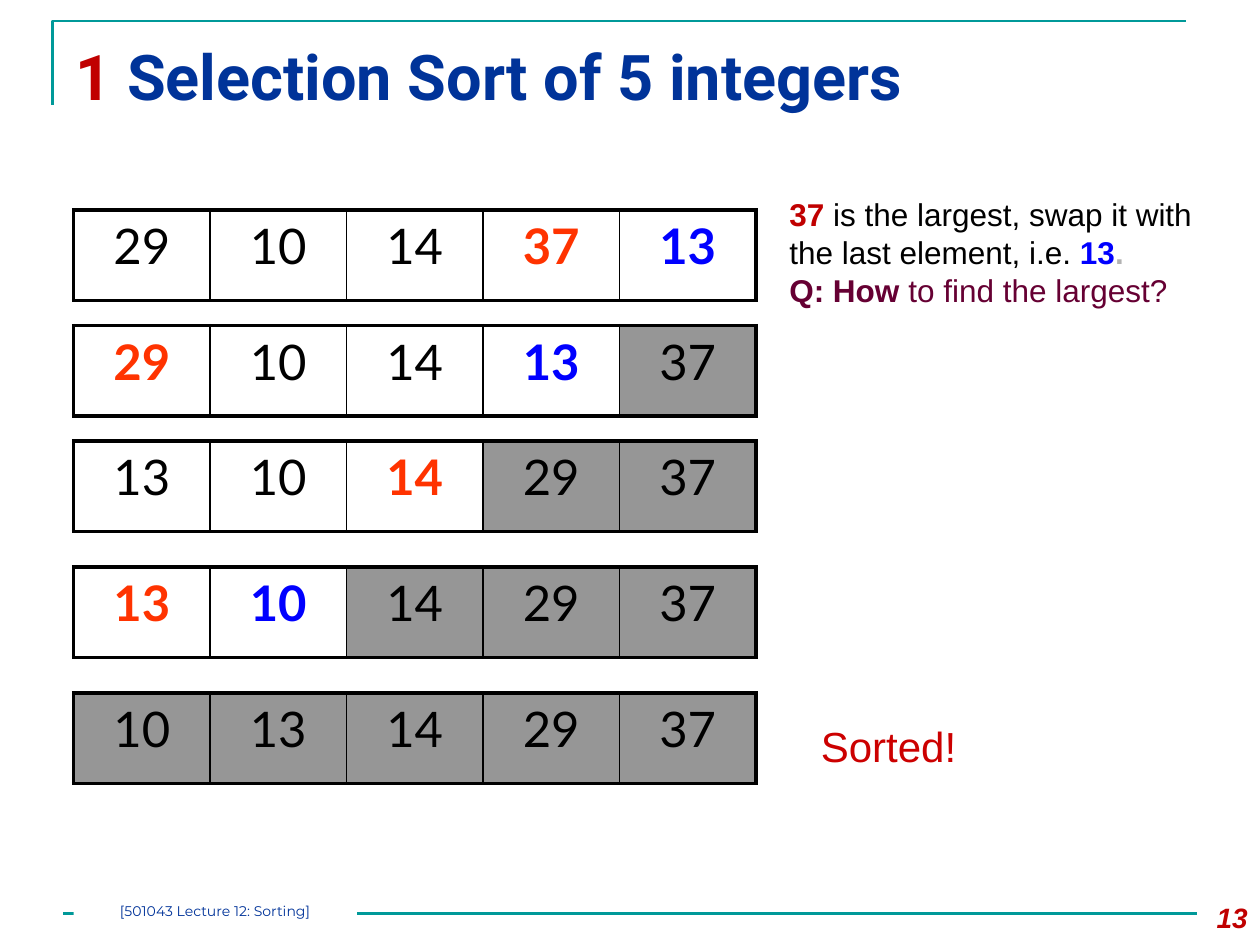
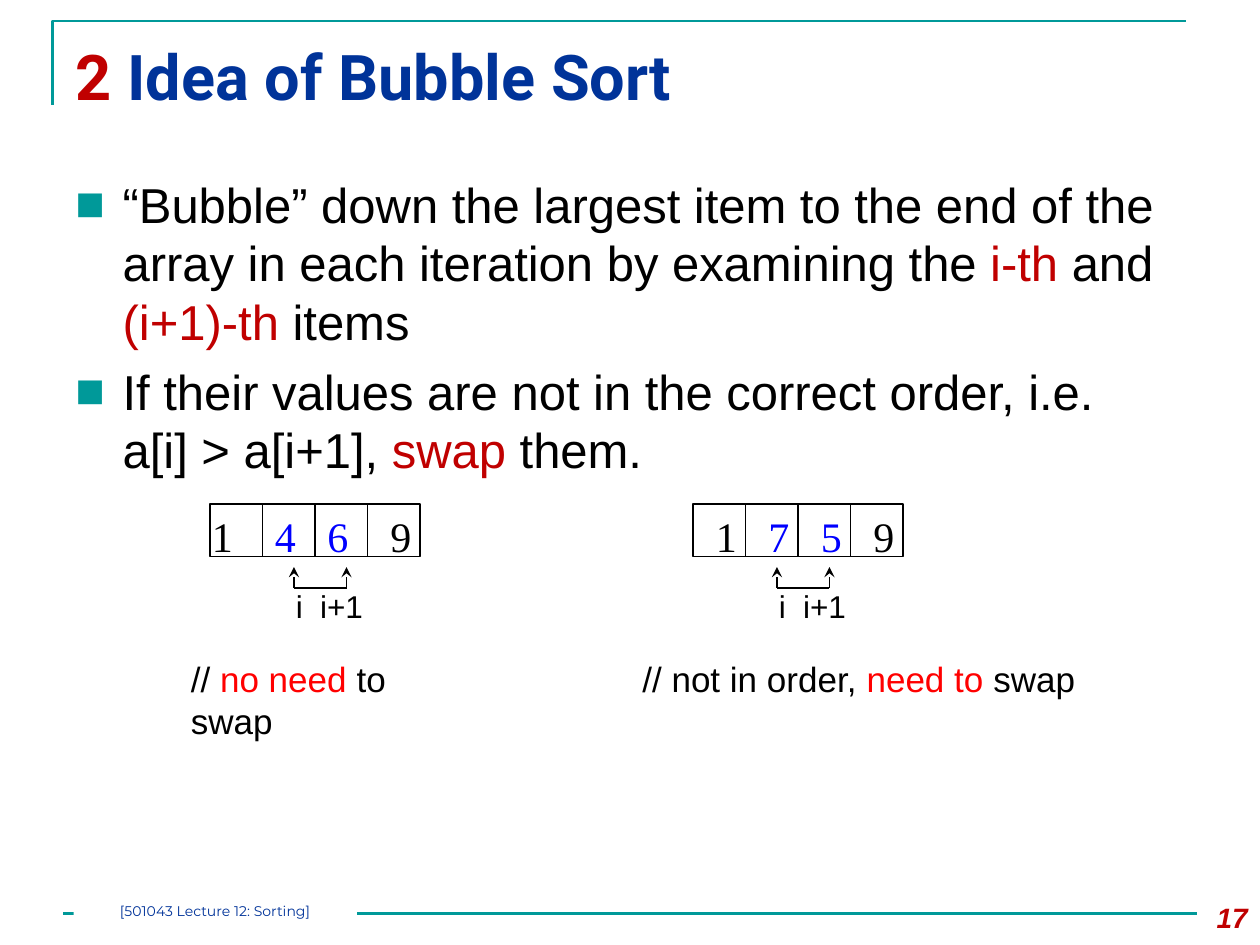
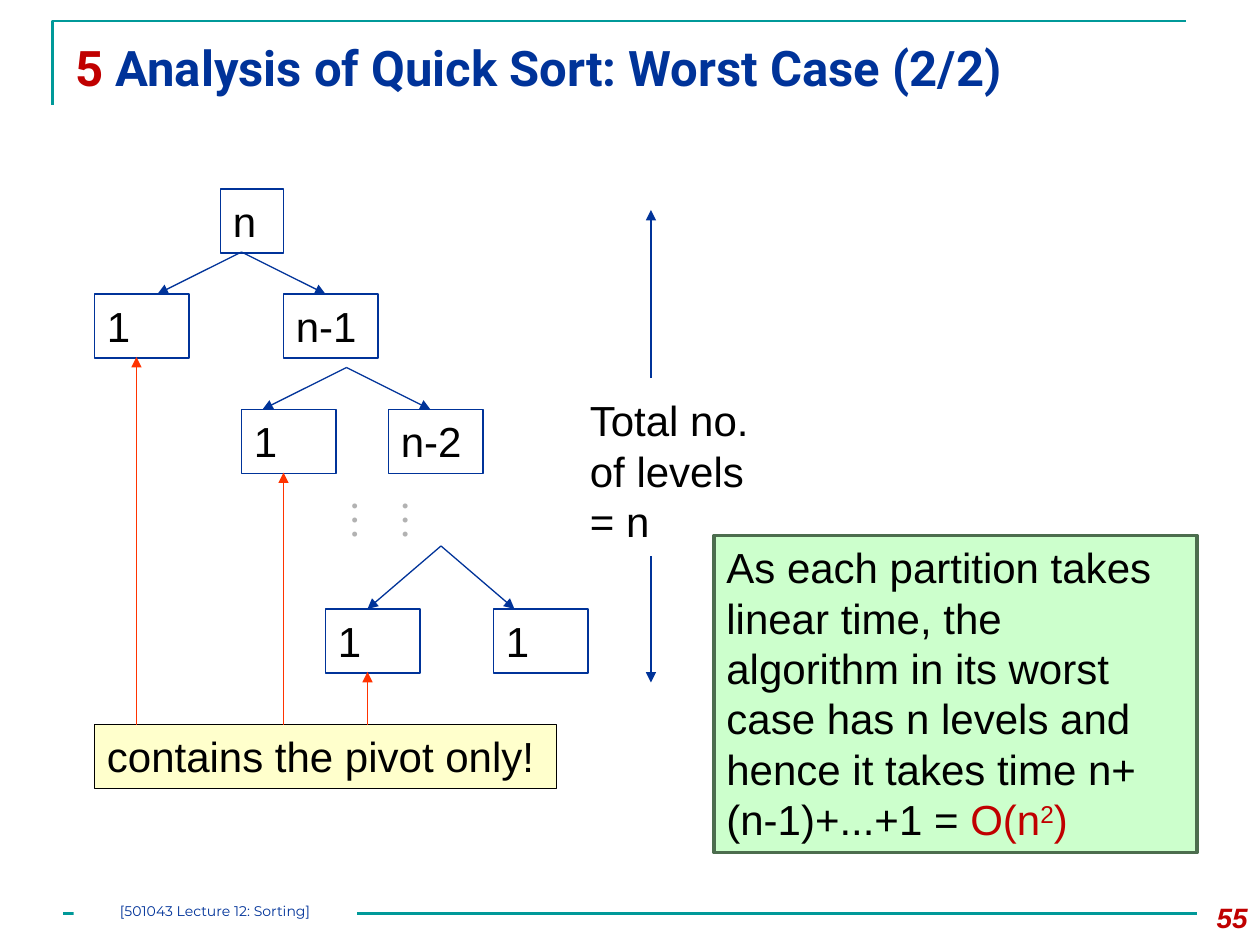
import pptx
import pptx.dml.color
import pptx.enum.shapes
import pptx.enum.text
import pptx.oxml
import pptx.oxml.ns
import pptx.util
from lxml import etree

SCALE = 7620  # EMU in one px, 120 px to the inch
COLORS = {
    "teal": "009999", "navy": "003399", "red": "C00000", "black": "000000",
    "white": "FFFFFF", "largest": "FF3300", "swapped": "0000FF", "sorted": "969696",
    "dot": "B2B2B2", "question": "660033", "done": "CC0000", "alert": "FF0000",
    "mint": "CCFFCC", "mint edge": "4C6D4E", "cream": "FFFFCC",
}
ALIGN = pptx.enum.text.PP_ALIGN
RECTANGLE = pptx.enum.shapes.MSO_SHAPE.RECTANGLE
STRAIGHT = pptx.enum.shapes.MSO_CONNECTOR.STRAIGHT
LINE_HEIGHT = 1.2
ROOMY_FONTS = ("Arial", "Times New Roman")


def px(length):
    return pptx.util.Emu(length * SCALE)


def rgb(name):
    return pptx.dml.color.RGBColor.from_string(COLORS[name])


def add_xml(parent, tag, **attributes):
    element = etree.SubElement(parent, pptx.oxml.ns.qn(tag))
    for key, value in attributes.items():
        element.set(key, str(value))
    return element


def styled(text, color="black", **font):
    """One run: its text, colour and font attributes."""
    return text, color, font


def write(frame, paragraphs, size, font="Arial", align=ALIGN.LEFT, inset=(12, 6),
          space=0, bullet=None, tabs=()):
    """Fill a text frame or table cell; each paragraph is a list of styled runs."""
    across, down = inset
    for side, margin in {"left": across, "right": across, "top": down, "bottom": down}.items():
        setattr(frame, f"margin_{side}", px(margin))
    frame.vertical_anchor = pptx.enum.text.MSO_ANCHOR.TOP
    frame.word_wrap = True
    for index, runs in enumerate(paragraphs):
        paragraph = frame.paragraphs[0] if index == 0 else frame.add_paragraph()
        properties = paragraph._p.get_or_add_pPr()
        if bullet:
            properties.set("marL", str(px(45)))
            properties.set("indent", str(px(-45)))
            add_xml(add_xml(properties, "a:buClr"), "a:srgbClr", val=COLORS["teal"])
            add_xml(properties, "a:buFont", typeface=font)
            add_xml(properties, "a:buChar", char=bullet)
        if tabs:
            stops = add_xml(properties, "a:tabLst")
            for position in tabs:
                add_xml(stops, "a:tab", pos=px(position), algn="l")
        paragraph.alignment = align
        if font in ROOMY_FONTS:
            paragraph.line_spacing = pptx.util.Pt(size * LINE_HEIGHT)
        if index and space:
            paragraph.space_before = pptx.util.Pt(space)
        for text, color, extra in runs:
            if text == "\n":
                paragraph.add_line_break()
                continue
            run = paragraph.add_run()
            run.text = text
            run.font.color.rgb = rgb(color)
            formats = {"name": font, "size": pptx.util.Pt(size), **extra}
            baseline = formats.pop("baseline", None)
            if baseline:
                run._r.get_or_add_rPr().set("baseline", str(baseline))
            for key, value in formats.items():
                setattr(run.font, key, value)


def add_text(slide, box, paragraphs, size, **layout):
    label = slide.shapes.add_textbox(*map(px, box))
    write(label.text_frame, paragraphs, size, **layout)
    return label


def add_box(slide, box, fill=None, line=None, weight=0.75):
    shape = slide.shapes.add_shape(RECTANGLE, *map(px, box))
    shape.shadow.inherit = False
    if fill:
        shape.fill.solid()
        shape.fill.fore_color.rgb = rgb(fill)
    else:
        shape.fill.background()
    if line:
        shape.line.color.rgb = rgb(line)
        shape.line.width = pptx.util.Pt(weight)
    else:
        shape.line.fill.background()
    return shape


def add_line(slide, start, end, color, weight=0.75, arrow=None):
    line = slide.shapes.add_connector(STRAIGHT, *map(px, start + end))
    line.line.color.rgb = rgb(color)
    line.line.width = pptx.util.Pt(weight)
    if arrow:
        add_xml(line.line._get_or_add_ln(), "a:tailEnd", type=arrow)
    add_xml(line._element.spPr, "a:effectLst")


def add_lecture_slide(deck, section, title, number, title_size=36, title_width=1080):
    """Blank slide with corner frame, numbered title, footer rule and page number."""
    slide = deck.slides.add_slide(deck.slide_layouts[6])
    outline = slide.shapes.build_freeform(50, 100, scale=SCALE)
    outline.add_line_segments([(50, 20), (1130, 20)], close=False)
    corner = outline.convert_to_shape()
    corner.shadow.inherit = False
    corner.fill.background()
    corner.line.color.rgb = rgb("teal")
    corner.line.width = pptx.util.Pt(1.5)
    add_line(slide, (60, 870), (1140, 870), "teal", 1.5)
    heading = [styled(f"{section} ", "red", bold=True), styled(title, "navy", bold=True)]
    add_text(slide, (60, 30, title_width, 110), [heading], title_size, font="Roboto")
    page = styled(str(number), "red", bold=True, italic=True)
    add_text(slide, (1120, 852, 80, 48), [[page]], 16, align=ALIGN.RIGHT)
    footer = add_box(slide, (70, 860, 270, 20), fill="white")
    write(footer.text_frame, [[styled("[501043 Lecture 12: Sorting]", "navy")]], 8,
          font="Montserrat", align=ALIGN.CENTER, inset=(0, 0))
    return slide


def add_array_row(slide, box, values, marks, sorted_from):
    """One sorting pass: marks colours positions, cells from sorted_from are grey."""
    left, top, width, height = box
    last = len(values) - 1
    table = slide.shapes.add_table(1, len(values), *map(px, box)).table
    table.first_row = table.horz_banding = False
    table.rows[0].height = px(height)
    for index, value in enumerate(values):
        table.columns[index].width = px(width // len(values))
        cell = table.cell(0, index)
        borders = {"L": 1 if index else 2.25, "R": 1 if index < last else 2.25,
                   "T": 2.25, "B": 2.25}
        for side, weight in borders.items():
            edge = add_xml(cell._tc.get_or_add_tcPr(), f"a:ln{side}", w=pptx.util.Pt(weight))
            add_xml(add_xml(edge, "a:solidFill"), "a:srgbClr", val=COLORS["black"])
        if index >= sorted_from:
            cell.fill.solid()
            cell.fill.fore_color.rgb = rgb("sorted")
        else:
            cell.fill.background()
        number = styled(str(value), marks.get(index, "black"), bold=index in marks)
        frame = cell.text_frame
        write(frame, [[number]], 28, font="Lato", align=ALIGN.CENTER)


def build_selection_sort(deck):
    slide = add_lecture_slide(deck, 1, "Selection Sort of 5 integers", 13)
    passes = [
        (200, (29, 10, 14, 37, 13), {3: "largest", 4: "swapped"}),
        (310, (29, 10, 14, 13, 37), {0: "largest", 3: "swapped"}),
        (420, (13, 10, 14, 29, 37), {2: "largest"}),
        (540, (13, 10, 14, 29, 37), {0: "largest", 1: "swapped"}),
        (660, (10, 13, 14, 29, 37), {}),
    ]
    for done, (top, values, marks) in enumerate(passes):
        sorted_from = len(values) - done if marks else 0
        add_array_row(slide, (70, top, 650, 86), values, marks, sorted_from)
    add_text(slide, (740, 180, 420, 120), [
        [styled("37 ", "red", bold=True),
         styled("is the largest, swap it with the last element, i.e. "),
         styled("13", "swapped", bold=True), styled(".", "dot", bold=True)],
        [styled("Q: How ", "question", bold=True), styled("to find the largest?", "question")],
    ], 18)
    add_text(slide, (770, 680, 160, 60), [[styled("Sorted!", "done")]], 24)


def add_pair_check(slide, left, top, digits, digits_left, tabs, comment, comment_box):
    """Four-cell array whose middle pair i, i+1 is compared, with a comment below."""
    cell = 50
    for index in range(len(digits)):
        add_box(slide, (left + index * cell, top, cell, cell), line="black")
    first, *pair, final = digits
    add_text(slide, (digits_left, top, 220, 60), [[
        styled(f"{first}\t"), styled("\t".join(pair) + "\t", "swapped"), styled(final),
    ]], 24, font="Times New Roman", tabs=tabs)
    tips = [left + 80, left + 80 + cell]
    for tip in tips:
        add_line(slide, (tip, top + 80), (tip, top + 60), "black", arrow="stealth")
    add_line(slide, (tips[0], top + 80), (tips[1], top + 80), "black")
    add_text(slide, (left + 70, top + 73, 100, 48), [[styled("i\ti+1")]], 18, tabs=[23])
    comment_left, comment_width = comment_box
    add_text(slide, (comment_left, top + 140, comment_width, 52), [comment], 20)


def build_bubble_sort(deck):
    slide = add_lecture_slide(deck, 2, "Idea of Bubble Sort", 17)
    add_text(slide, (60, 160, 1080, 690), [
        [styled("“Bubble” down the largest item to the end of the array in each "
                "iteration by examining the "),
         styled("i-th", "red"), styled(" and "), styled("(i+1)-th ", "red"), styled("items")],
        [styled("If their values are not in the correct order, i.e. "), styled("\n"),
         styled("a[i] > a[i+1], "), styled("swap", "red"), styled(" them.")],
    ], 28, space=6, bullet="■")
    add_pair_check(slide, 200, 480, "1469", 190, (60, 110, 170),
                   [styled("// "), styled("no need ", "alert"), styled("to swap")],
                   (170, 290))
    add_pair_check(slide, 660, 480, "1759", 670, (50, 100, 150),
                   [styled("// not in order, "), styled("need to", "alert"), styled(" swap")],
                   (600, 445))


def add_partition_tree(slide, left, top):
    nodes = [("n", 120, 0, 60), ("1", 0, 100, 90), ("n-1", 180, 100, 90),
             ("1", 140, 210, 90), ("n-2", 280, 210, 90),
             ("1", 220, 400, 90), ("1", 380, 400, 90)]
    for label, x, y, width in nodes:
        node = add_box(slide, (left + x, top + y, width, 61), line="navy")
        write(node.text_frame, [[styled(label)]], 24)
    forks = [(140, 60, 80, 40), (240, 170, 80, 40), (330, 340, 70, 60)]
    for x, y, reach, drop in forks:
        for step in (-reach, reach):
            add_line(slide, (left + x, top + y), (left + x + step, top + y + drop),
                     "navy", arrow="triangle")
    dots = add_text(slide, (left + 258, top + 294, 92, 72), [[styled("……", "dot")]], 24,
                    font="Times New Roman")
    dots.rotation = 90


def add_level_count(slide, left, top):
    middle = left + 70
    for start, end in ((160, 0), (330, 450)):
        add_line(slide, (middle, top + start), (middle, top + end), "navy", arrow="triangle")
    add_text(slide, (left, top + 170, 190, 156), [[styled("Total no. of levels = n")]], 24)


def add_pivot_note(slide, left, top):
    note = add_box(slide, (left, top, 440, 61), fill="cream", line="black")
    write(note.text_frame, [[styled("contains the pivot only!")]], 24)
    for x, rise in ((40, 350), (180, 240), (260, 50)):
        add_line(slide, (left + x, top), (left + x, top - rise), "largest", arrow="triangle")


def build_quick_sort(deck):
    slide = add_lecture_slide(deck, 5, "Analysis of Quick Sort: Worst Case (2/2)", 55,
                              title_size=28, title_width=1100)
    add_level_count(slide, 550, 200)
    add_partition_tree(slide, 90, 180)
    conclusion = add_box(slide, (680, 510, 460, 302), "mint", "mint edge", 2)
    write(conclusion.text_frame, [[
        styled("As each partition takes linear time, the algorithm in its worst case "
               "has n levels and hence it takes time n+(n-1)+...+1 = "),
        styled("O(n", "red"), styled("2", "red", baseline=30000), styled(")", "red"),
    ]], 24)
    add_pivot_note(slide, 90, 690)


def main():
    deck = pptx.Presentation()
    deck.slide_width, deck.slide_height = px(1200), px(900)
    for build in (build_selection_sort, build_bubble_sort, build_quick_sort):
        build(deck)
    deck.save("out.pptx")


if __name__ == "__main__":
    main()
